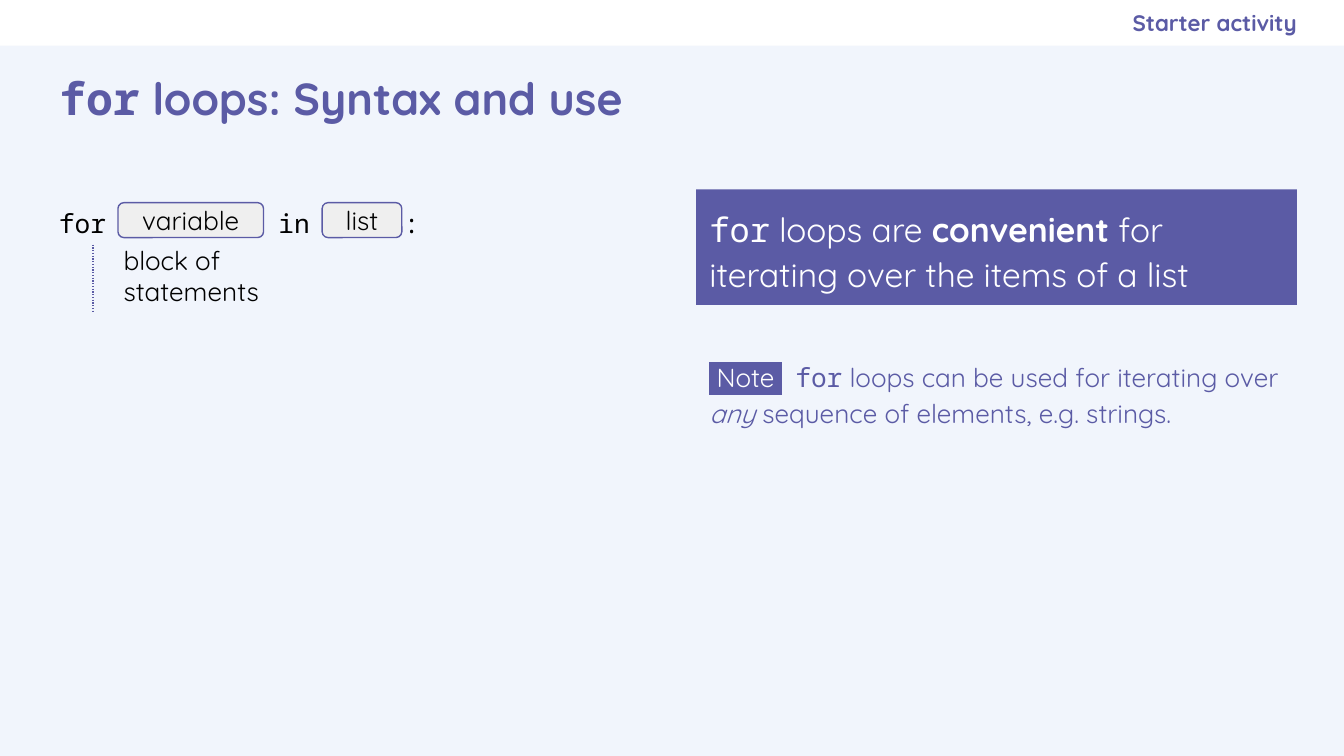
import pptx
import pptx.util
import pptx.dml.color
import pptx.enum.dml
import pptx.enum.shapes
import pptx.enum.text
import pptx.oxml
import pptx.oxml.ns

Pt = pptx.util.Pt
ALIGN = pptx.enum.text.PP_ALIGN
ANCHOR = pptx.enum.text.MSO_ANCHOR
SHAPE = pptx.enum.shapes.MSO_SHAPE
COLOURS = {
    "background": "F1F5FC",
    "purple": "5B5BA5",
    "white": "FFFFFF",
    "slot": "EFEFEF",
    "black": "000000",
}
SANS = "Quicksand"
MONO = "Noto Sans Mono"
INSET = 7.2
MARGIN = 24.5
RIGHT_COLUMN, RIGHT_WIDTH = 373, 321.8
CONTENT_TOP = 101.5


def rgb(name):
    return pptx.dml.color.RGBColor.from_string(COLOURS[name])


def add_xml(parent, xml):
    element = pptx.oxml.parse_xml(xml.replace(">", f" {pptx.oxml.ns.nsdecls('a')}>", 1))
    parent.append(element)
    return element


def write(shape, runs, size, colour, font=SANS, bold=None, align=ALIGN.LEFT,
          anchor=ANCHOR.TOP, spacing=None, right_inset=INSET, tabs=()):
    frame = shape.text_frame
    frame.word_wrap = True
    frame.auto_size = pptx.enum.text.MSO_AUTO_SIZE.NONE
    frame.vertical_anchor = anchor
    frame.margin_left = frame.margin_top = frame.margin_bottom = Pt(INSET)
    frame.margin_right = Pt(right_inset)
    paragraph = frame.paragraphs[0]
    paragraph.alignment = align
    if spacing:
        paragraph.line_spacing = spacing
    if tabs:
        stops = "".join(f'<a:tab pos="{Pt(stop)}" algn="l"/>' for stop in tabs)
        add_xml(paragraph._p.get_or_add_pPr(), f"<a:tabLst>{stops}</a:tabLst>")
    paragraph.font.size = Pt(size)
    paragraph.font.color.rgb = rgb(colour)
    paragraph.font.bold = bold
    if isinstance(runs, str):
        paragraph.font.name = font
        runs = [(runs, {})]
    for text, styles in runs:
        run = paragraph.add_run()
        run.text = text
        for attribute, value in styles.items():
            setattr(run.font, attribute, value)
    return paragraph


def highlight(run, colour, background):
    run.font.color.rgb = rgb(colour)
    properties = run.font._element
    mark = add_xml(properties, "<a:highlight>"
                   f'<a:srgbClr val="{COLOURS[background]}"/></a:highlight>')
    properties.find(pptx.oxml.ns.qn("a:solidFill")).addnext(mark)


def add_text(slide, box, runs, size, colour, **options):
    textbox = slide.shapes.add_textbox(*map(Pt, box))
    return write(textbox, runs, size, colour, **options)


def add_box(slide, box, fill, kind=SHAPE.RECTANGLE, outline=None):
    shape = slide.shapes.add_shape(kind, *map(Pt, box))
    shape.shadow.inherit = False
    shape.fill.solid()
    shape.fill.fore_color.rgb = rgb(fill)
    if outline:
        shape.line.color.rgb = rgb(outline)
        shape.line.width = Pt(0.75)
    else:
        shape.line.fill.background()
    return shape


def add_slot(slide, left, width, label):
    slot = add_box(slide, (left, 108.6, width, 18.7), "slot",
                   SHAPE.ROUNDED_RECTANGLE, "purple")
    write(slot, label, 14, "black", align=ALIGN.CENTER, anchor=ANCHOR.MIDDLE)


def add_indent_guide(slide, x, top, bottom):
    guide = slide.shapes.add_connector(
        pptx.enum.shapes.MSO_CONNECTOR.STRAIGHT, Pt(x), Pt(top), Pt(x), Pt(bottom))
    guide.line.color.rgb = rgb("purple")
    guide.line.width = Pt(0.75)
    guide.line.dash_style = pptx.enum.dml.MSO_LINE.ROUND_DOT
    add_xml(guide._element.spPr, "<a:effectLst></a:effectLst>")


def add_header(slide):
    add_box(slide, (0, 0, 720, 24.5), "white")
    title = slide.shapes.title
    title.left, title.top, title.width, title.height = map(Pt, (MARGIN, 24.5, 671, 55.4))
    write(title, [("for", {"name": MONO}), (" loops: Syntax and use", {"name": SANS})],
          24, "purple", bold=True, anchor=ANCHOR.MIDDLE)
    add_text(slide, (414, 0, 280.8, 24.5), "Starter activity", 12, "purple", bold=True,
             align=ALIGN.RIGHT, anchor=ANCHOR.MIDDLE, right_inset=0)


def add_syntax(slide):
    add_text(slide, (MARGIN, CONTENT_TOP, 266.4, 67), "for\tin\t:", 14, "black",
             font=MONO, spacing=1.15, tabs=(117.6, 184.8))
    add_slot(slide, 63.2, 78, "variable")
    add_slot(slide, 172.6, 42.7, "list")
    add_indent_guide(slide, 49.8, 131, 167)
    add_text(slide, (59.1, 129.6, 102.2, 36), "block of statements", 14, "black",
             anchor=ANCHOR.MIDDLE)


def add_explanation(slide):
    callout = add_box(slide, (RIGHT_COLUMN, CONTENT_TOP, RIGHT_WIDTH, 61.9), "purple")
    write(callout, [
        ("for", {"name": MONO}),
        (" loops are ", {"name": SANS}),
        ("convenient", {"name": SANS, "bold": True}),
        (" for iterating over the items of a list", {"name": SANS}),
    ], 18, "white", spacing=1.14, right_inset=4.3)
    note = add_text(slide, (RIGHT_COLUMN, 184.3, RIGHT_WIDTH, 55.4), [
        (" Note ", {"name": SANS}),
        ("\tfor", {"name": MONO}),
        (" loops can be used for iterating over ", {"name": SANS}),
        ("any ", {"name": SANS, "italic": True}),
        ("sequence of elements, e.g. strings.", {"name": SANS}),
    ], 14, "purple", spacing=1.14, right_inset=4.3, tabs=(46,))
    highlight(note.runs[0], "white", "purple")


def main():
    presentation = pptx.Presentation()
    presentation.slide_width, presentation.slide_height = Pt(720), Pt(405)
    slide = presentation.slides.add_slide(presentation.slide_layouts[5])
    slide.background.fill.solid()
    slide.background.fill.fore_color.rgb = rgb("background")
    add_header(slide)
    add_syntax(slide)
    add_explanation(slide)
    presentation.save("out.pptx")


if __name__ == "__main__":
    main()
